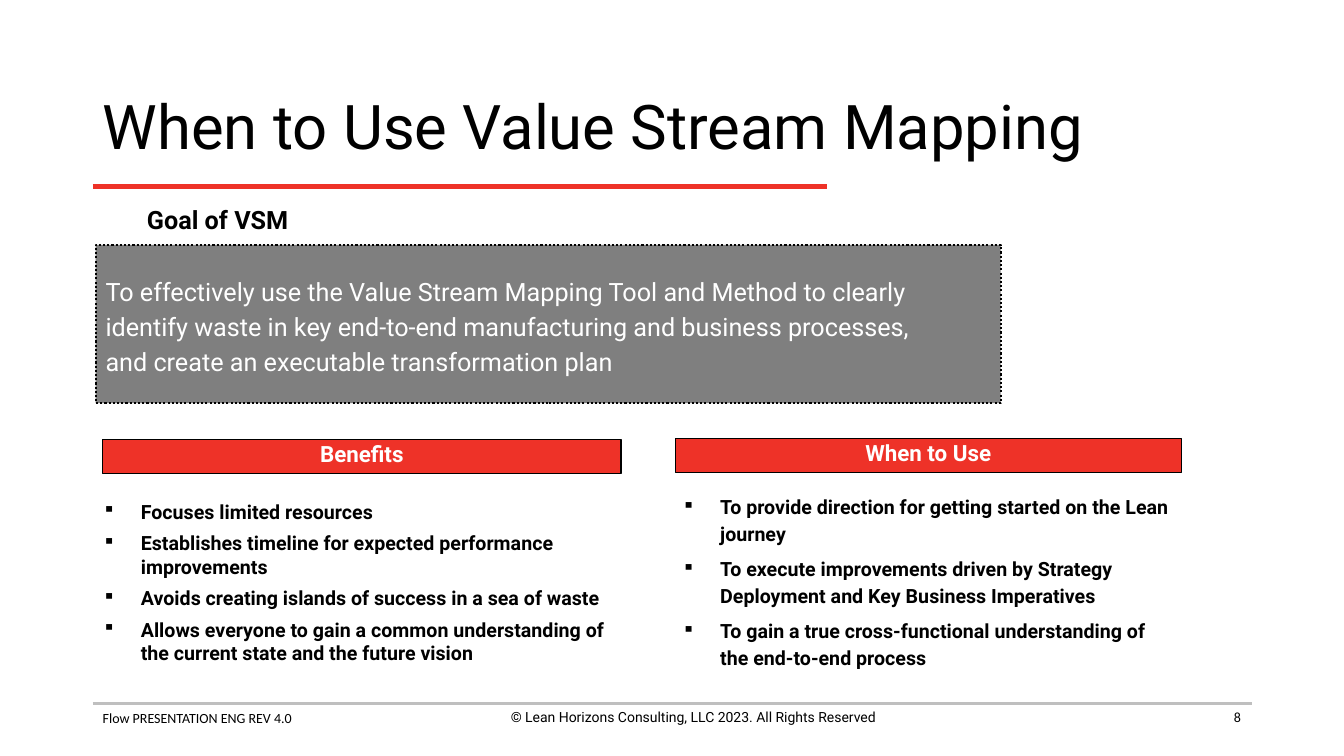
from dataclasses import dataclass

from lxml.etree import SubElement
from pptx import Presentation
from pptx.dml.color import RGBColor as RGB
from pptx.enum.dml import MSO_LINE_DASH_STYLE as Dash
from pptx.enum.shapes import MSO_CONNECTOR as Conn, MSO_SHAPE as Shape
from pptx.enum.text import MSO_ANCHOR as Anchor, PP_ALIGN as Align
from pptx.oxml.ns import qn
from pptx.util import Cm, Pt


@dataclass(frozen=True)
class Theme:
    black: RGB = RGB(0, 0, 0)
    white: RGB = RGB(255, 255, 255)
    red: RGB = RGB(0xEE, 0x32, 0x28)
    gray: RGB = RGB(0x7F, 0x7F, 0x7F)
    rule: RGB = RGB(0xBF, 0xBF, 0xBF)
    font: str = "Roboto"
    alt: str = "Calibri"
    title: int = 44
    goal: int = 18
    bar: int = 16
    body: int = 14
    foot: int = 10


@dataclass(frozen=True)
class Box:
    x: float
    y: float
    w: float
    h: float

    def cm(self):
        return Cm(self.x), Cm(self.y), Cm(self.w), Cm(self.h)


THEME = Theme()

GOAL = ("To effectively use the Value Stream Mapping Tool and Method to clearly\v"
        "identify waste in key end-to-end manufacturing and business processes,\v"
        "and create an executable transformation plan")
BENEFITS = [
    "Focuses limited resources",
    "Establishes timeline for expected performance improvements",
    "Avoids creating islands of success in a sea of waste",
    "Allows everyone to gain a common understanding of the current state "
    "and the future vision",
]
USES = [
    "To provide direction for getting started on the Lean journey",
    "To execute improvements driven by Strategy Deployment and Key Business Imperatives",
    "To gain a true cross-functional understanding of the end-to-end process",
]


def write(shape, text, size, color=THEME.black, font=THEME.font, bold=False,
          align=Align.LEFT, anchor=Anchor.TOP, lead=1.0):
    """Fill a shape with text, one paragraph per line, in one style."""
    frame = shape.text_frame
    frame.word_wrap = True
    frame.vertical_anchor = anchor
    frame.text = text
    for para in frame.paragraphs:
        para.alignment = align
        para.line_spacing = lead
        for run in para.runs:
            run.font.name = font
            run.font.size = Pt(size)
            run.font.bold = bold
            run.font.color.rgb = color
    return frame


def label(slide, box, text, size, **style):
    return write(slide.shapes.add_textbox(*box.cm()), text, size, **style)


def rule(slide, x, y, width, color, weight):
    line = slide.shapes.add_connector(
        Conn.STRAIGHT, Cm(x), Cm(y), Cm(x + width), Cm(y))
    line.line.color.rgb = color
    line.line.width = Pt(weight)
    SubElement(line._element.spPr, qn("a:effectLst"))


def panel(slide, box, fill, weight):
    rect = slide.shapes.add_shape(Shape.RECTANGLE, *box.cm())
    rect.shadow.inherit = False
    rect.fill.solid()
    rect.fill.fore_color.rgb = fill
    rect.line.color.rgb = THEME.black
    rect.line.width = Pt(weight)
    return rect


def bullet(para):
    props = para._p.get_or_add_pPr()
    props.set("marL", str(Cm(0.96)))
    props.set("indent", str(-Cm(0.96)))
    color = SubElement(props, qn("a:buClr"))
    SubElement(color, qn("a:srgbClr"), val=str(THEME.black))
    SubElement(props, qn("a:buSzPct"), val="90000")
    SubElement(props, qn("a:buChar"), char="▪")


def header(slide, box):
    label(slide, box, "When to Use Value Stream Mapping", THEME.title,
          anchor=Anchor.MIDDLE, lead=0.9)
    rule(slide, box.x, box.y + box.h + 0.03, 18.49, THEME.red, 3)


def goal(slide, box):
    rect = panel(slide, box, THEME.gray, 1.5)
    rect.line.dash_style = Dash.ROUND_DOT
    write(rect, GOAL, THEME.goal, color=THEME.white,
          anchor=Anchor.MIDDLE, lead=1.15)
    label(slide, Box(box.x + 1.02, box.y - 0.99, 4.11, 0.89), "Goal of VSM",
          THEME.goal, bold=True, align=Align.CENTER, lead=0.8)


def column(slide, box, head, items, dx, dy, lead):
    """Red bar across the top of the box, bullets dx left and dy below."""
    bar = panel(slide, Box(box.x, box.y, box.w, 0.86), THEME.red, 1)
    write(bar, head, THEME.bar, color=THEME.white, bold=True,
          align=Align.CENTER, anchor=Anchor.MIDDLE, lead=0.8)
    area = Box(box.x - dx, box.y + dy, box.w + dx + 0.04, box.h - dy)
    frame = label(slide, area, "\n".join(items), THEME.body, bold=True, lead=lead)
    for i, para in enumerate(frame.paragraphs):
        bullet(para)
        para.space_before = Pt(2.8 if i else 0)
        para.space_after = Pt(2.8)


def footer(slide, box):
    rule(slide, box.x, box.y, box.w, THEME.rule, 2)
    label(slide, Box(box.x, box.y + 0.03, 11.58, box.h),
          "Flow PRESENTATION ENG REV 4.0", THEME.foot, font=THEME.alt)
    label(slide, Box(box.x + 9.34, box.y, 11.58, box.h),
          "© Lean Horizons Consulting, LLC 2023. All Rights Reserved",
          THEME.foot, align=Align.CENTER)
    label(slide, Box(box.x + box.w - 7.65, box.y, 7.62, box.h), "8",
          THEME.foot, font=THEME.alt, align=Align.RIGHT)


def main():
    deck = Presentation()
    deck.slide_width, deck.slide_height = Cm(33.87), Cm(19.05)
    slide = deck.slides.add_slide(deck.slide_layouts[6])
    header(slide, Box(2.34, 1.88, 29.21, 2.79))
    goal(slide, Box(2.41, 6.17, 22.81, 3.99))
    column(slide, Box(2.59, 11.07, 13.06, 4.78), "Benefits", BENEFITS,
           dx=0.25, dy=1.4, lead=1.0)
    column(slide, Box(17.02, 11.05, 12.75, 6.45), "When to Use", USES,
           dx=0.08, dy=1.22, lead=1.15)
    footer(slide, Box(2.34, 17.73, 29.21, 0.9))
    deck.save("out.pptx")


if __name__ == "__main__":
    main()
